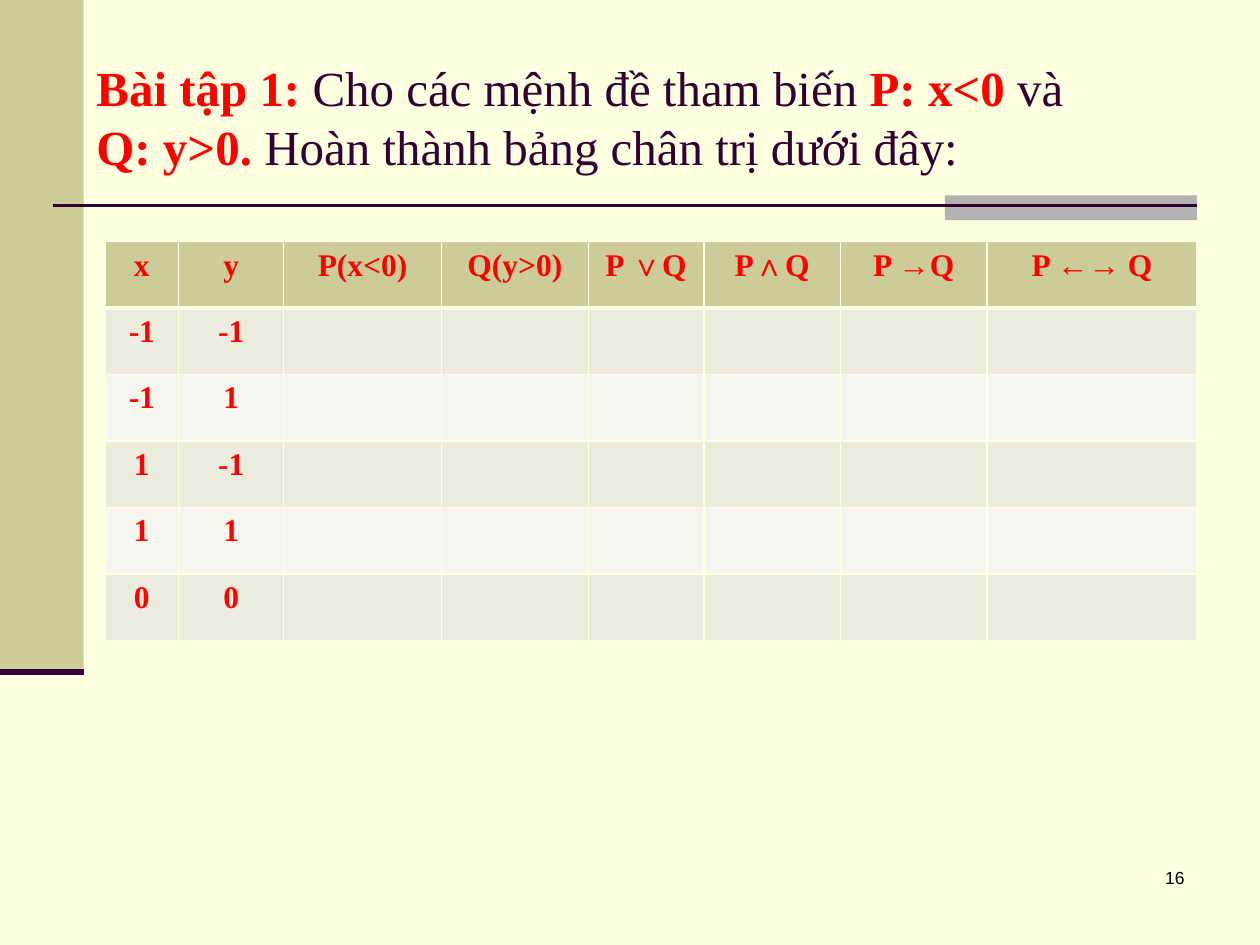
from lxml.etree import SubElement
from pptx import Presentation
from pptx.dml.color import RGBColor
from pptx.enum.shapes import MSO_CONNECTOR as Connector, MSO_SHAPE as Shape
from pptx.enum.text import MSO_ANCHOR as Anchor, MSO_AUTO_SIZE as AutoSize, PP_ALIGN as Align
from pptx.oxml.ns import qn
from pptx.util import Cm, Pt

CREAM = RGBColor(0xFF, 0xFF, 0xE1)
OLIVE = RGBColor(0xCC, 0xCC, 0x99)
GRAY = RGBColor(0xB2, 0xB2, 0xB2)
PLUM = RGBColor(0x33, 0x00, 0x33)
RED = RGBColor(0xFF, 0x00, 0x00)
BLACK = RGBColor(0x00, 0x00, 0x00)
BAND_DARK = RGBColor(0xEC, 0xEC, 0xDE)
BAND_LIGHT = RGBColor(0xF6, 0xF6, 0xEF)

SERIF = "Times New Roman"
TITLE_PLAIN = {"name": SERIF, "size": Pt(28), "bold": False}
TITLE_STRONG = {"name": SERIF, "size": Pt(28), "bold": True}
TABLE_FONT = {"name": SERIF, "size": Pt(18), "bold": True}
NUMBER_FONT = {"name": "Arial", "size": Pt(10)}

TITLE_RUNS = [
    ("Bài tập 1: ", True),
    ("Cho các mệnh đề tham biến ", False),
    ("P: x<0 ", True),
    ("và ", False),
    ("Q: y>0. ", True),
    ("Hoàn thành bảng chân trị dưới đây:", False),
]
HEADERS = ["x", "y", "P(x<0)", "Q(y>0)", "P ∨Q", "P∧Q", "P →Q", "P ←→ Q"]
XY_VALUES = [(-1, -1), (-1, 1), (1, -1), (1, 1), (0, 0)]
COLUMN_WIDTHS = [1.48, 2.12, 3.18, 2.96, 2.33, 2.75, 2.96, 4.23]
ROW_HEIGHT = 1.34


def add_run(paragraph, text, font_values, color):
    run = paragraph.add_run()
    run.text = text
    for name, value in font_values.items():
        setattr(run.font, name, value)
    run.font.color.rgb = color


def add_block(slide, left, top, width, height, color):
    block = slide.shapes.add_shape(Shape.RECTANGLE, Cm(left), Cm(top), Cm(width), Cm(height))
    block.shadow.inherit = False
    block.fill.solid()
    block.fill.fore_color.rgb = color
    block.line.fill.background()


def add_rule(slide, left, top, width, weight):
    rule = slide.shapes.add_connector(
        Connector.STRAIGHT, Cm(left), Cm(top), Cm(left + width), Cm(top))
    rule.line.color.rgb = PLUM
    rule.line.width = Pt(weight)
    SubElement(rule._element.spPr, qn("a:effectLst"))


def add_decoration(slide, left, top, width, height):
    """Side band with its foot line, and the rule under the title."""
    band_width, band_height, rule_top = 1.69, 13.55, 4.14
    add_block(slide, left, top, band_width, band_height, OLIVE)
    add_block(slide, left + width - 6.35, top + 3.94, 5.08, 0.5, GRAY)
    add_rule(slide, left + 1.06, top + rule_top, width - 2.33, 1.5)
    add_rule(slide, left, top + band_height, band_width, 3.5)


def fill_title(slide, left, top, width, height):
    title = slide.shapes.title
    title.left, title.top, title.width, title.height = map(Cm, (left, top, width, height))
    frame = title.text_frame
    frame_values = {"word_wrap": True, "auto_size": AutoSize.NONE,
                    "vertical_anchor": Anchor.MIDDLE}
    for name, value in frame_values.items():
        setattr(frame, name, value)
    paragraph = frame.paragraphs[0]
    paragraph.alignment = Align.LEFT
    for text, strong in TITLE_RUNS:
        if strong:
            add_run(paragraph, text, TITLE_STRONG, RED)
        else:
            add_run(paragraph, text, TITLE_PLAIN, PLUM)


def add_borders(cell, weights):
    properties = cell._tc.get_or_add_tcPr()
    for side, weight in weights.items():
        line = SubElement(properties, qn(f"a:ln{side}"), w=str(Pt(weight)))
        fill = SubElement(line, qn("a:solidFill"))
        SubElement(fill, qn("a:srgbClr"), val=str(CREAM))


def add_truth_table(slide, left, top):
    rows = [HEADERS] + [[str(x), str(y)] + [""] * 6 for x, y in XY_VALUES]
    table = slide.shapes.add_table(
        len(rows), len(HEADERS), Cm(left), Cm(top),
        Cm(sum(COLUMN_WIDTHS)), Cm(ROW_HEIGHT * len(rows))).table
    for column, width in zip(table.columns, COLUMN_WIDTHS):
        column.width = Cm(width)
    for row_index, texts in enumerate(rows):
        table.rows[row_index].height = Cm(ROW_HEIGHT)
        if row_index == 0:
            color = OLIVE
        else:
            color = BAND_DARK if row_index % 2 else BAND_LIGHT
        # The line between header and body is heavier
        weights = {"L": 1, "R": 1, "T": 3 if row_index == 1 else 1,
                   "B": 3 if row_index == 0 else 1}
        for column_index, text in enumerate(texts):
            cell = table.cell(row_index, column_index)
            add_borders(cell, weights)
            cell.fill.solid()
            cell.fill.fore_color.rgb = color
            if text:
                paragraph = cell.text_frame.paragraphs[0]
                paragraph.alignment = Align.CENTER
                add_run(paragraph, text, TABLE_FONT, RED)


def add_slide_number(slide, left, top, width, height):
    box = slide.shapes.add_textbox(Cm(left), Cm(top), Cm(width), Cm(height))
    box.text_frame.word_wrap = True
    paragraph = box.text_frame.paragraphs[0]
    paragraph.alignment = Align.RIGHT
    add_run(paragraph, "16", NUMBER_FONT, BLACK)


def build_exercise_slide(presentation):
    slide = presentation.slides.add_slide(presentation.slide_layouts[5])
    slide.background.fill.solid()
    slide.background.fill.fore_color.rgb = CREAM
    add_decoration(slide, 0, 0, 25.4, 19.05)
    fill_title(slide, 1.69, 0.76, 20.53, 3.18)
    add_slide_number(slide, 18.84, 17.36, 5.29, 1.27)
    add_truth_table(slide, 2.12, 4.87)


presentation = Presentation()
presentation.slide_width = Cm(25.4)
presentation.slide_height = Cm(19.05)
build_exercise_slide(presentation)
presentation.save("out.pptx")
